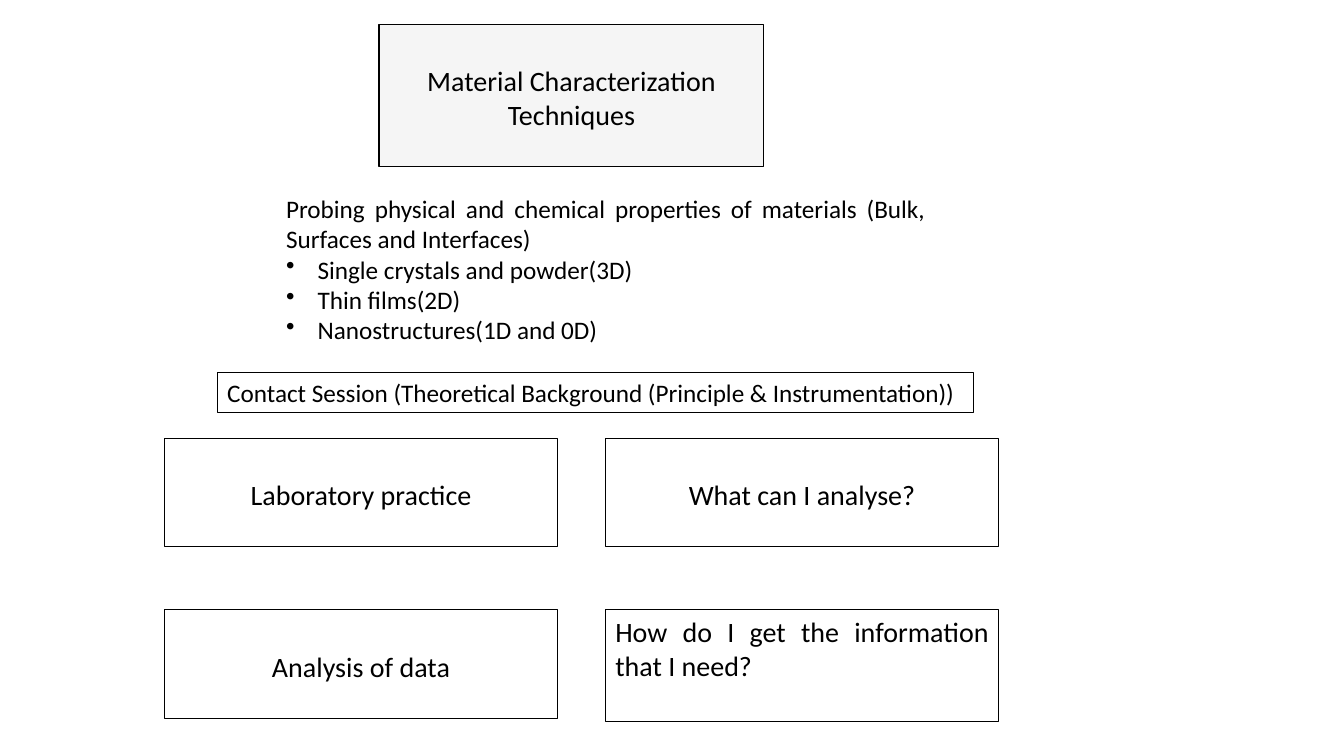
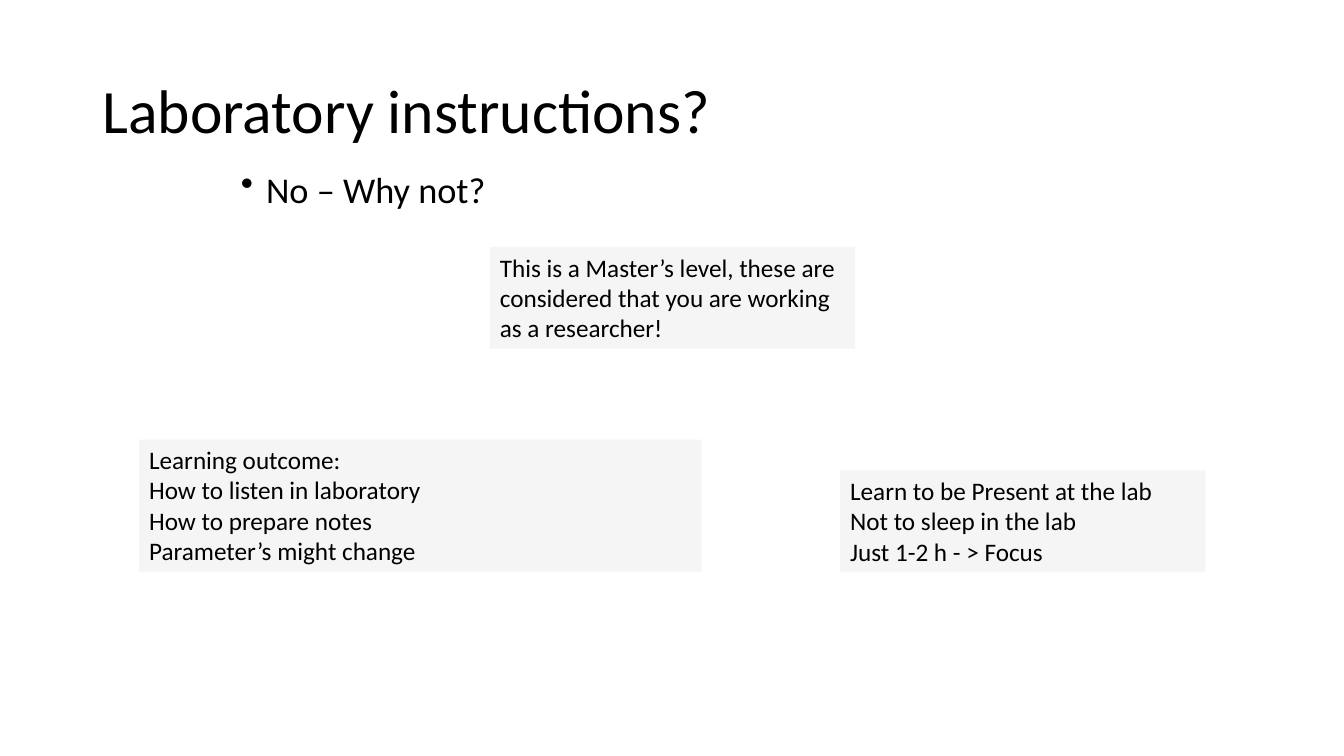
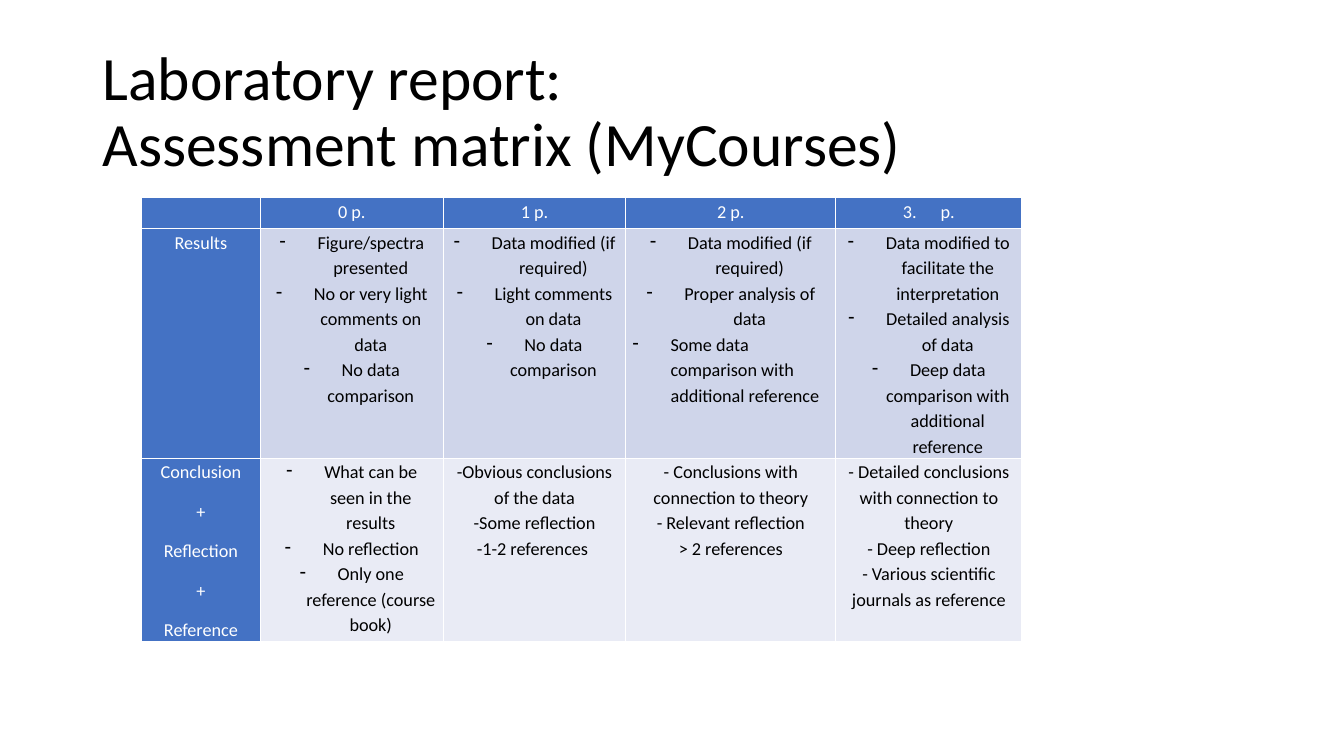
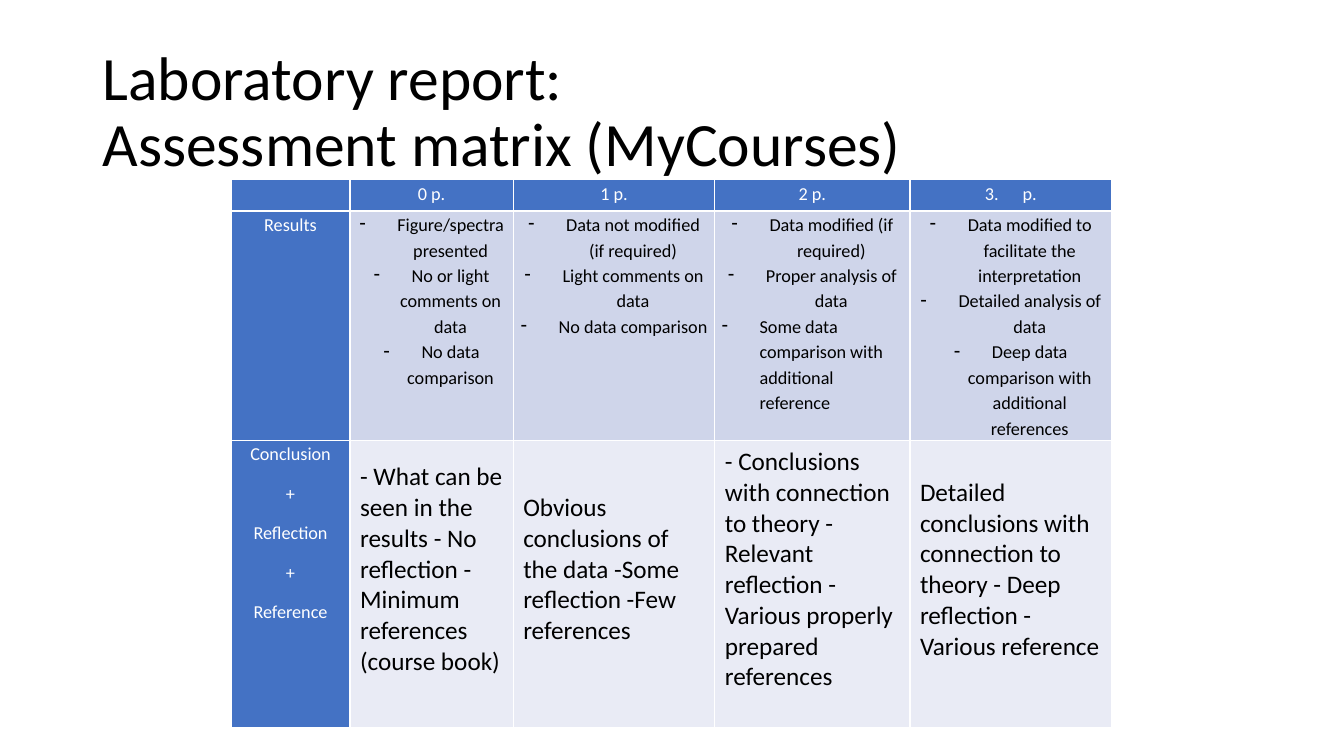
from lxml import etree
from pptx import Presentation
from pptx.dml.color import RGBColor
from pptx.enum import shapes, text
from pptx.oxml.ns import qn
from pptx.util import Pt

FONT = "Calibri"
BLACK, WHITE, PALE_GREY = "000000", "FFFFFF", "F5F5F5"
BLUE, LIGHT_BLUE, PALE_BLUE = "4472C4", "CFD5EA", "E9EBF5"
LEFT, CENTER, JUSTIFY = text.PP_ALIGN.LEFT, text.PP_ALIGN.CENTER, text.PP_ALIGN.JUSTIFY
TITLE_BOX = (66, 28.8, 828, 104.4)
TITLE_ONLY = 5
LOW_TEXT = 28  # top inset that lowers the text by one line

# Slide 1
COURSE_TITLE = ["Material Characterization Techniques"]
PROBING = ["Probing physical and chemical properties of materials (Bulk, Surfaces and Interfaces)"]
SAMPLES = ["Single crystals and powder(3D)", "Thin films(2D)", "Nanostructures(1D and 0D)"]
SESSION = ["Contact Session (Theoretical Background (Principle & Instrumentation))"]
TOPICS = [["Laboratory practice", "What can I analyse?"],
          ["Analysis of data", "How do I get the information that I need?"]]

# Slide 2
INSTRUCTIONS_TITLE = ["Laboratory instructions?"]
ANSWER = ["No – Why not?"]
NOTES = [
    ((350, 176.4, 260.8, 72.7),
     ["This is a Master’s level, these are considered that you are working as a researcher!"]),
    ((99.4, 314, 401.8, 94.4),
     ["Learning outcome:", "How to listen in laboratory", "How to prepare notes",
      "Parameter’s might change"]),
    ((600.2, 336, 260.8, 72.7),
     ["Learn to be Present at the lab", "Not to sleep in the lab", "Just 1-2 h - > Focus"]),
]

# Slides 3 and 4
MATRIX_TITLE = ["Laboratory report:", "Assessment matrix (MyCourses)"]
POINTS = ["0 p.", "1 p.", "2 p.", "p."]
ROW_LABELS = [["Results"], ["Conclusion", "+", "Reflection", "+", "Reference"]]
LEFT_ITEM = "Some data comparison with additional reference"
ANALYSED = ["Data modified (if required)", "Proper analysis of data", LEFT_ITEM]
MATRICES = [
    {
        "at": (101, 141.2), "columns": [85, 130.6, 130.4, 150, 133], "rows": [22.3, 161.3, 129.6],
        "results": [
            ["Figure/spectra presented", "No or very light comments on data", "No data comparison"],
            ["Data modified (if required)", "Light comments on data", "No data comparison"],
            ANALYSED,
            ["Data modified to facilitate the interpretation", "Detailed analysis of data",
             "Deep data comparison with additional reference"],
        ],
        "conclusions": [
            ("dashed", ["What can be seen in the results", "No reflection",
                        "Only one reference (course book)"]),
            ("plain", ["-Obvious conclusions of the data", "-Some reflection",
                       "-1-2 references "]),
            ("plain", ["- Conclusions with connection to theory", "- Relevant reflection",
                       "> 2 references"]),
            ("plain", ["- Detailed conclusions with connection to theory", "- Deep reflection",
                       "- Various scientific journals as reference"]),
        ],
    },
    {
        "at": (165, 128.4), "columns": [85, 116.6, 144, 139.4, 144], "rows": [22.3, 161.3, 205],
        "results": [
            ["Figure/spectra presented", "No or light comments on data", "No data comparison"],
            ["Data not modified (if required)", "Light comments on data", "No data comparison"],
            ANALYSED,
            ["Data modified to facilitate the interpretation", "Detailed analysis of data",
             "Deep data comparison with additional references"],
        ],
        "conclusions": [
            ("large", ["- What can be seen in the results - No reflection - Minimum references "
                       "(course book)"]),
            ("large", ["Obvious conclusions of the data -Some reflection -Few references"]),
            ("large", ["- Conclusions with connection to theory - Relevant reflection - Various "
                       "properly prepared references"]),
            ("large", ["Detailed conclusions with connection to theory - Deep reflection - "
                       "Various reference"]),
        ],
    },
]

DASH = ("buChar", {"char": "-"})
DOT = ("buChar", {"char": "•"})
FROM_THREE = ("buAutoNum", {"type": "arabicPeriod", "startAt": "3"})
SMALL = {"size": 13, "align": CENTER, "spacing": 1.15}
CELL_STYLES = {
    "label": {**SMALL, "color": WHITE, "after": 10},
    "numbered": {**SMALL, "color": WHITE, "after": 10, "bullet": FROM_THREE, "indent": 27},
    "dashed": {**SMALL, "bullet": DASH, "indent": 27},
    "plain": SMALL,
    "large": {"size": 18},
}


def rgb(value):
    return RGBColor.from_string(value)


def write(frame, lines, size, color=BLACK, align=LEFT, spacing=1.0, after=0,
          bullet=None, indent=0, append=False):
    """Put each line in its own paragraph, all in one style."""
    for index, line in enumerate(lines):
        fresh = append or index > 0
        paragraph = frame.add_paragraph() if fresh else frame.paragraphs[0]
        paragraph.text = line
        paragraph.alignment = LEFT if line == LEFT_ITEM else align
        paragraph.line_spacing = spacing
        paragraph.space_after = Pt(after)
        if bullet:
            tag, attributes = bullet
            properties = paragraph._p.get_or_add_pPr()
            properties.set("marL", str(Pt(indent)))
            properties.set("indent", str(-Pt(indent)))
            etree.SubElement(properties, qn("a:" + tag), attributes)
        font = paragraph.font
        font.name, font.size, font.bold = FONT, Pt(size), False
        font.color.rgb = rgb(color)


def place(shape, box):
    shape.left, shape.top, shape.width, shape.height = map(Pt, box)


def paint(shape, fill=None, line=None):
    if fill:
        shape.fill.solid()
        shape.fill.fore_color.rgb = rgb(fill)
    else:
        shape.fill.background()
    if line:
        shape.line.color.rgb = rgb(line)
        shape.line.width = Pt(0.75)
    else:
        shape.line.fill.background()


def add_titled_slide(presentation, lines, box=TITLE_BOX, size=44, spacing=0.9, align=LEFT):
    slide = presentation.slides.add_slide(presentation.slide_layouts[TITLE_ONLY])
    title = slide.shapes.title
    place(title, box)
    title.text_frame.auto_size = text.MSO_AUTO_SIZE.NONE
    title.text_frame.vertical_anchor = text.MSO_ANCHOR.MIDDLE
    write(title.text_frame, lines, size, spacing=spacing, align=align)
    return slide


def add_box(slide, box, lines, fill=None, line=None, top_inset=3.6, **style):
    shape = slide.shapes.add_shape(shapes.MSO_SHAPE.RECTANGLE, *map(Pt, box))
    shape.shadow.inherit = False
    paint(shape, fill, line)
    frame = shape.text_frame
    frame.word_wrap = True
    frame.vertical_anchor = text.MSO_ANCHOR.TOP
    frame.margin_top = Pt(top_inset)
    write(frame, lines, **style)


def add_text(slide, box, lines, **style):
    frame = slide.shapes.add_textbox(*map(Pt, box)).text_frame
    frame.word_wrap = True
    write(frame, lines, **style)
    return frame


def add_overview(presentation):
    slide = add_titled_slide(presentation, COURSE_TITLE, (270.7, 17.3, 275, 101.5),
                             size=20, spacing=1.0, align=CENTER)
    title = slide.shapes.title
    paint(title, PALE_GREY, BLACK)
    title.text_frame.vertical_anchor = text.MSO_ANCHOR.TOP
    title.text_frame.margin_top = Pt(LOW_TEXT)

    frame = add_text(slide, (197.3, 134.6, 470.9, 116.6), PROBING, size=18, align=JUSTIFY)
    write(frame, SAMPLES, 18, align=JUSTIFY, bullet=DOT, indent=22.5, append=True)
    add_box(slide, (155.2, 266, 540, 28.8), SESSION, line=BLACK, size=18)

    for row, topics in enumerate(TOPICS):
        for column, topic in enumerate(topics):
            question = row == column == 1
            box = (117.4 + 315 * column, 313 + 122.6 * row, 281, 80 if question else 77.6)
            add_box(slide, box, [topic], line=BLACK, size=20,
                    top_inset=3.6 if question else LOW_TEXT,
                    align=JUSTIFY if question else CENTER)


def add_instructions(presentation):
    slide = add_titled_slide(presentation, INSTRUCTIONS_TITLE)
    add_text(slide, (165, 124.6, 628.6, 31.7), ANSWER, size=25.9, spacing=0.7,
             bullet=DOT, indent=18)
    for box, lines in NOTES:
        add_box(slide, box, lines, fill=PALE_GREY, size=18)


def fill_cell(cell, fill, style, lines):
    cell.fill.solid()
    cell.fill.fore_color.rgb = rgb(fill)
    if style == "large":
        cell.vertical_anchor = text.MSO_ANCHOR.MIDDLE
        cell.margin_bottom = Pt(24)
    else:
        cell.margin_left = cell.margin_right = Pt(5)
        cell.margin_top = cell.margin_bottom = 0
    write(cell.text_frame, lines, **CELL_STYLES[style])


def add_matrix(presentation, matrix):
    slide = add_titled_slide(presentation, MATRIX_TITLE)
    widths, heights = matrix["columns"], matrix["rows"]
    box = (*matrix["at"], sum(widths), sum(heights))
    table = slide.shapes.add_table(len(heights), len(widths), *map(Pt, box)).table
    for column, width in zip(table.columns, widths):
        column.width = Pt(width)
    for row, height in zip(table.rows, heights):
        row.height = Pt(height)

    header = [("label", [""])] + [("label", [points]) for points in POINTS[:-1]]
    header.append(("numbered", POINTS[-1:]))
    results = [("dashed", lines) for lines in matrix["results"]]
    body = [[("label", label)] + cells
            for label, cells in zip(ROW_LABELS, (results, matrix["conclusions"]))]
    for row, (cells, fill) in enumerate(zip([header] + body, (BLUE, LIGHT_BLUE, PALE_BLUE))):
        for column, (style, lines) in enumerate(cells):
            fill_cell(table.cell(row, column), fill if column else BLUE, style, lines)


def main():
    presentation = Presentation()
    presentation.slide_width, presentation.slide_height = Pt(960), Pt(540)
    add_overview(presentation)
    add_instructions(presentation)
    for matrix in MATRICES:
        add_matrix(presentation, matrix)
    presentation.save("out.pptx")


if __name__ == "__main__":
    main()
